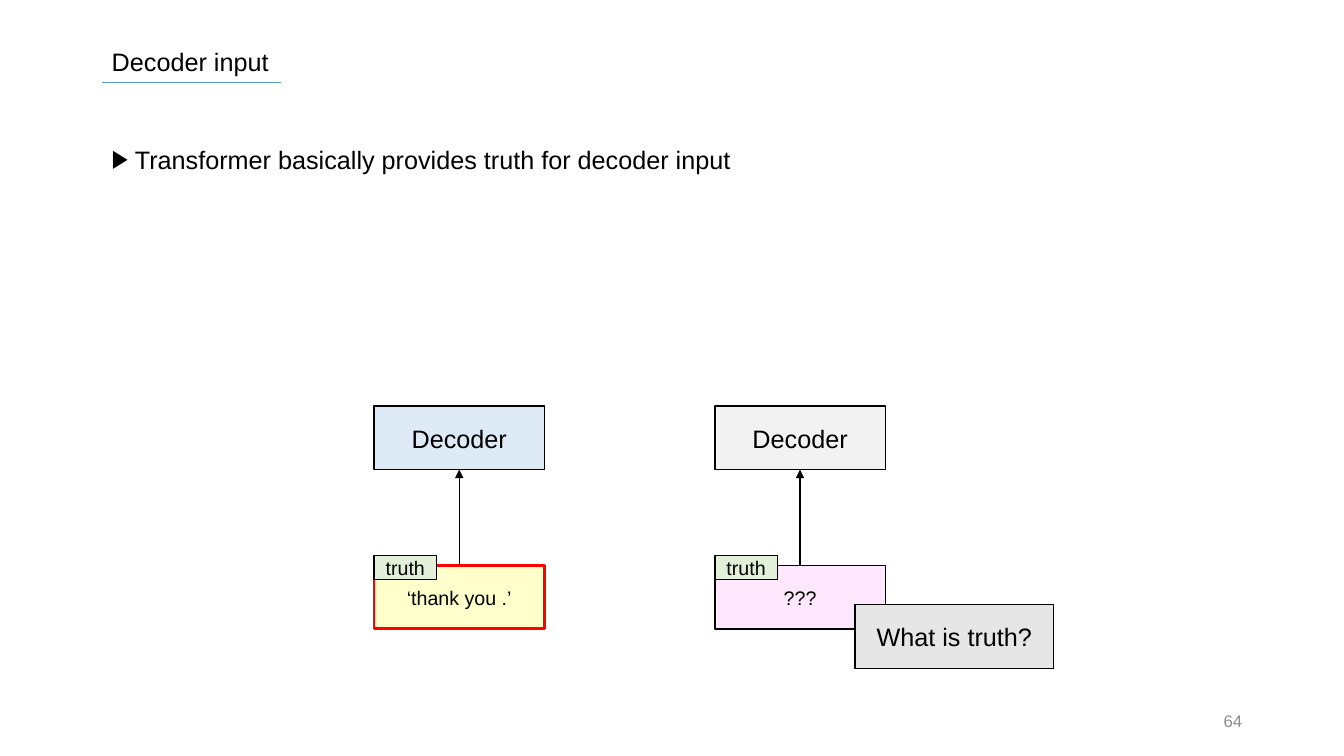
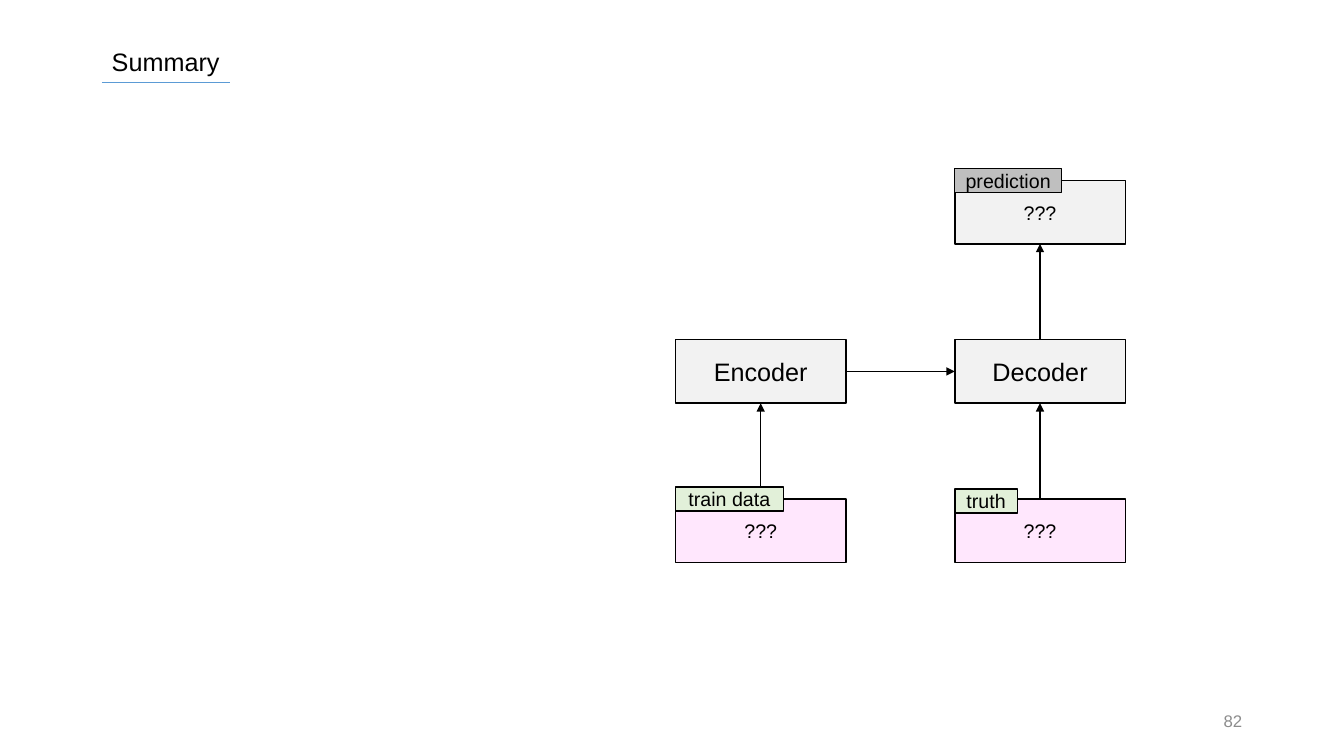
from dataclasses import dataclass

from lxml.etree import SubElement
from pptx import Presentation
from pptx.dml.color import RGBColor
from pptx.enum.shapes import MSO_CONNECTOR, MSO_SHAPE
from pptx.enum.text import MSO_ANCHOR, PP_ALIGN
from pptx.oxml.ns import qn
from pptx.util import Inches, Pt


@dataclass(frozen=True)
class Theme:
    font: str = "Arial"
    text: str = "000000"
    rule: str = "5B9BD5"
    number: str = "8C8C8C"
    body_size: int = 18
    label_size: int = 14
    number_size: int = 12


THEME = Theme()

# Each style: fill, opacity in percent, line colour, line width, text size
STYLES = {
    "module": ("BFBFBF", 20, THEME.text, 1, THEME.body_size),
    "active module": ("DEEBF7", 100, THEME.text, 1, THEME.body_size),
    "callout": ("E7E6E6", 100, THEME.text, 1, THEME.body_size),
    "unknown": ("FFE7FD", 100, THEME.text, 1, THEME.label_size),
    "result": ("BFBFBF", 20, THEME.text, 1, THEME.label_size),
    "example": ("FFFFCC", 100, "FF0000", 2, THEME.label_size),
    "data tag": ("E2F0D9", 100, THEME.text, 1, THEME.label_size),
    "result tag": ("BFBFBF", 100, THEME.text, 1, THEME.label_size),
}

MARGIN = 1.01
BOX_WIDTH, BOX_HEIGHT, TAG_HEIGHT = 1.69, 0.63, 0.24
ROW_STEP = 1.58
TOP, LEFT, BOTTOM, RIGHT = range(4)

# Boxes: name -> (column, row, text, style)
# Arrows: (from box, side, to box, side)
# Tags: (box, rise above its top, width, text, style)
# Callouts: (left, top, width, text)
SLIDES = [
    {
        "title": "Decoder input", "rule_width": 1.78, "number": "64",
        "bullet": "Transformer basically provides truth for decoder input",
        "columns": (3.71, 7.09), "first_row": 4.03,
        "boxes": {
            "known decoder": (0, 0, "Decoder", "active module"),
            "known truth": (0, 1, "‘thank you .’", "example"),
            "decoder": (1, 0, "Decoder", "module"),
            "truth": (1, 1, "???", "unknown"),
        },
        "arrows": [
            ("known truth", TOP, "known decoder", BOTTOM),
            ("truth", TOP, "decoder", BOTTOM),
        ],
        "tags": [
            ("known truth", 0.1, 0.62, "truth", "data tag"),
            ("truth", 0.1, 0.62, "truth", "data tag"),
        ],
        "callouts": [(8.48, 6, 1.97, "What is truth?")],
    },
    {
        "title": "Summary", "rule_width": 1.27, "number": "82",
        "columns": (6.7, 9.47), "first_row": 1.79,
        "boxes": {
            "prediction": (1, 0, "???", "result"),
            "encoder": (0, 1, "Encoder", "module"),
            "decoder": (1, 1, "Decoder", "module"),
            "train data": (0, 2, "???", "unknown"),
            "truth": (1, 2, "???", "unknown"),
        },
        "arrows": [
            ("encoder", RIGHT, "decoder", LEFT),
            ("train data", TOP, "encoder", BOTTOM),
            ("truth", TOP, "decoder", BOTTOM),
            ("decoder", TOP, "prediction", BOTTOM),
        ],
        "tags": [
            ("train data", 0.12, 1.07, "train data", "data tag"),
            ("truth", 0.1, 0.62, "truth", "data tag"),
            ("prediction", 0.12, 1.06, "prediction", "result tag"),
        ],
    },
]


def rgb(value):
    return RGBColor.from_string(value)


def write(shape, text, size, color=THEME.text, align=PP_ALIGN.LEFT):
    shape.text_frame.text = text
    paragraph = shape.text_frame.paragraphs[0]
    paragraph.alignment = align
    font = paragraph.runs[0].font
    font.name, font.size, font.color.rgb = THEME.font, Pt(size), rgb(color)
    return paragraph


def add_text(slide, left, top, width, text, **look):
    box = slide.shapes.add_textbox(*map(Inches, (left, top, width, 0.4)))
    box.text_frame.word_wrap = True
    look.setdefault("size", THEME.body_size)
    return box, write(box, text, **look)


def add_bullet(paragraph, character, indent):
    properties = paragraph._p.get_or_add_pPr()
    properties.set("marL", str(Inches(indent)))
    properties.set("indent", str(-Inches(indent)))
    SubElement(properties, qn("a:buFont"), typeface=THEME.font)
    SubElement(properties, qn("a:buChar"), char=character)


def add_box(slide, left, top, width, height, text, style):
    fill, opacity, line, line_width, size = STYLES[style]
    shape = slide.shapes.add_shape(
        MSO_SHAPE.RECTANGLE, *map(Inches, (left, top, width, height)))
    shape.shadow.inherit = False
    shape.fill.solid()
    shape.fill.fore_color.rgb = rgb(fill)
    if opacity < 100:
        color = shape.fill._xPr.find(qn("a:solidFill"))[0]
        SubElement(color, qn("a:alpha"), val=str(opacity * 1000))
    shape.line.color.rgb = rgb(line)
    shape.line.width = Pt(line_width)
    frame = shape.text_frame
    frame.word_wrap = False
    frame.vertical_anchor = MSO_ANCHOR.MIDDLE
    frame.margin_top = frame.margin_bottom = 0
    write(shape, text, size, align=PP_ALIGN.CENTER)
    return shape


def add_line(slide, color, width, start=(0, 0), end=(0, 0)):
    line = slide.shapes.add_connector(
        MSO_CONNECTOR.STRAIGHT, *map(Inches, (*start, *end)))
    line.line.color.rgb = rgb(color)
    line.line.width = Pt(width)
    SubElement(line._element.spPr, qn("a:effectLst"))
    return line


def add_arrow(slide, source, source_side, target, target_side):
    arrow = add_line(slide, THEME.text, 1)
    arrow.begin_connect(source, source_side)
    arrow.end_connect(target, target_side)
    SubElement(arrow.line._get_or_add_ln(), qn("a:tailEnd"), type="triangle")


def add_frame(slide, content):
    """Add the title, its underline and the page number."""
    add_text(slide, MARGIN, 0.41, 5.69, content["title"])
    add_line(slide, THEME.rule, 0.5, (MARGIN, 0.82),
             (MARGIN + content["rule_width"], 0.82))
    box, _ = add_text(slide, 9.42, 6.95, 3, content["number"],
                      size=THEME.number_size, color=THEME.number,
                      align=PP_ALIGN.RIGHT)
    box.text_frame.vertical_anchor = MSO_ANCHOR.MIDDLE


def add_diagram(slide, content):
    places, boxes = {}, {}
    for name, (column, row, text, style) in content["boxes"].items():
        left = content["columns"][column]
        top = content["first_row"] + row * ROW_STEP
        places[name] = left, top
        boxes[name] = add_box(slide, left, top, BOX_WIDTH, BOX_HEIGHT,
                              text, style)
    for source, source_side, target, target_side in content["arrows"]:
        add_arrow(slide, boxes[source], source_side,
                  boxes[target], target_side)
    for name, rise, width, text, style in content["tags"]:
        left, top = places[name]
        add_box(slide, left, top - rise, width, TAG_HEIGHT, text, style)
    for left, top, width, text in content.get("callouts", []):
        add_box(slide, left, top, width, BOX_HEIGHT, text, "callout")


def main():
    presentation = Presentation()
    presentation.slide_width = Inches(13.33)
    presentation.slide_height = Inches(7.5)
    for content in SLIDES:
        slide = presentation.slides.add_slide(presentation.slide_layouts[6])
        add_frame(slide, content)
        if "bullet" in content:
            _, paragraph = add_text(slide, MARGIN, 1.38, 6.76,
                                    content["bullet"])
            add_bullet(paragraph, "▶", 0.23)
        add_diagram(slide, content)
    presentation.save("out.pptx")


if __name__ == "__main__":
    main()
